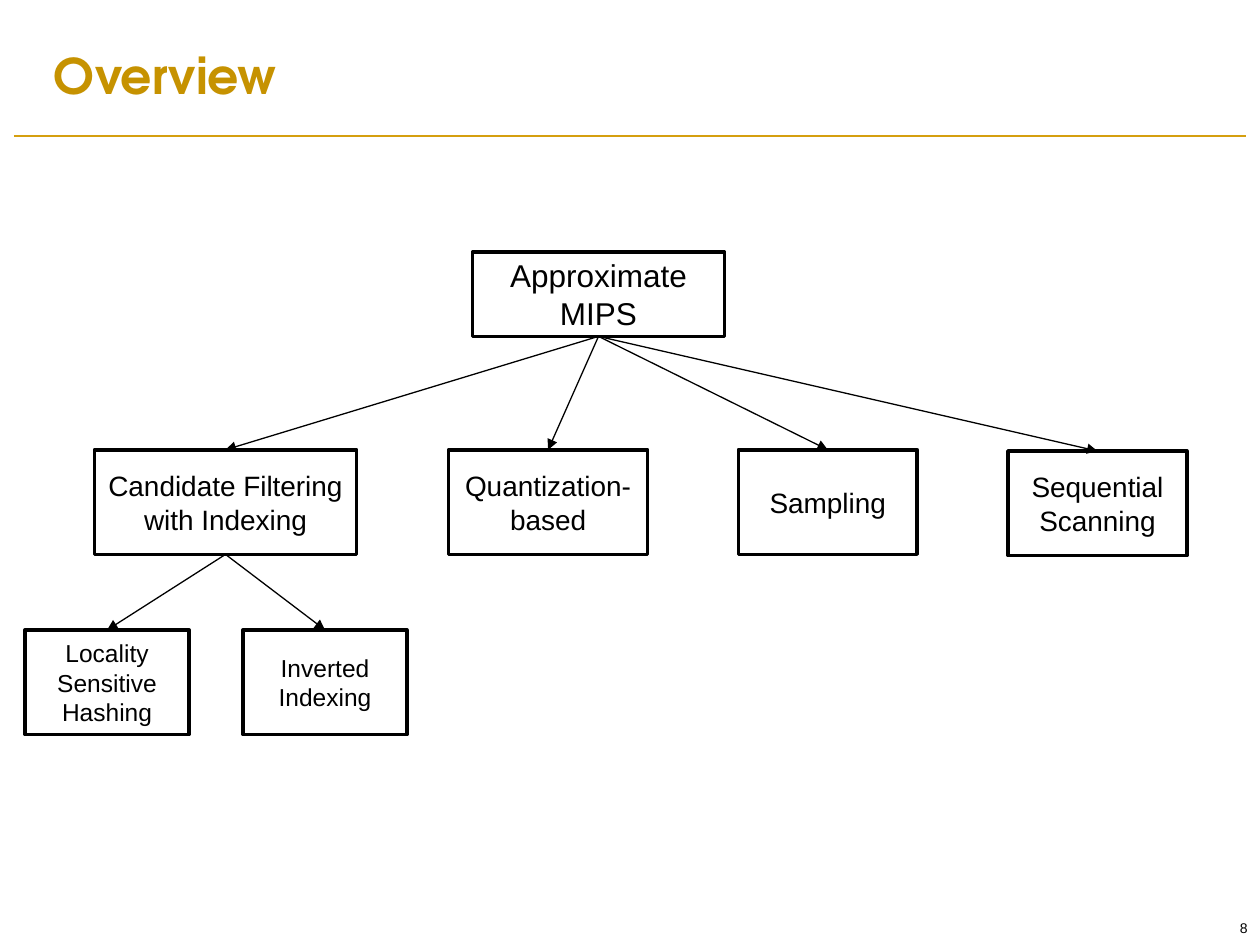
from dataclasses import dataclass

from pptx import Presentation
from pptx import util as u
from pptx.dml.color import RGBColor
from pptx.enum import shapes, text
from pptx.oxml import ns, xmlchemy

BLACK, WHITE, GOLD, RULE_GOLD = "000000", "FFFFFF", "C69200", "D59F0F"
BODY_FONT, TITLE_FONT = "Arial", "TeX Gyre Adventor"
TOP_SITE, BOTTOM_SITE = 0, 2


@dataclass(frozen=True)
class Node:
    label: str
    left: float
    top: float
    width: float
    height: float
    size: int
    children: tuple["Node", ...] = ()


def color(value: str) -> RGBColor:
    return RGBColor.from_string(value)


def write(shape, words: str, size: int, align, anchor,
          font: str = BODY_FONT, ink: str = BLACK, bold: bool = False) -> None:
    frame = shape.text_frame
    frame.word_wrap = True
    frame.vertical_anchor = anchor
    para = frame.paragraphs[0]
    para.text = words
    para.alignment = align
    para.font.name = font
    para.font.size = u.Pt(size)
    para.font.bold = bold
    para.font.color.rgb = color(ink)


def add_label(page, left: float, top: float, width: float, height: float):
    return page.shapes.add_textbox(
        u.Inches(left), u.Inches(top), u.Inches(width), u.Inches(height))


def add_line(page, start: tuple[float, float], end: tuple[float, float], ink: str):
    line = page.shapes.add_connector(
        shapes.MSO_CONNECTOR.STRAIGHT, *map(u.Inches, start + end))
    line.line.color.rgb = color(ink)
    line.line.width = u.Pt(0.75)
    line._element.spPr.append(xmlchemy.OxmlElement("a:effectLst"))
    return line


def add_arrow(page, parent, child) -> None:
    arrow = add_line(page, (0, 0), (0, 0), BLACK)
    arrow.begin_connect(parent, BOTTOM_SITE)
    arrow.end_connect(child, TOP_SITE)
    head = xmlchemy.OxmlElement("a:tailEnd")
    head.set("type", "triangle")
    arrow._element.spPr.find(ns.qn("a:ln")).append(head)


def add_tree(page, node: Node):
    box = page.shapes.add_shape(
        shapes.MSO_SHAPE.RECTANGLE, u.Inches(node.left), u.Inches(node.top),
        u.Inches(node.width), u.Inches(node.height))
    box.shadow.inherit = False
    box.fill.solid()
    box.fill.fore_color.rgb = color(WHITE)
    box.line.color.rgb = color(BLACK)
    box.line.width = u.Pt(2)
    write(box, node.label, node.size, text.PP_ALIGN.CENTER, text.MSO_ANCHOR.MIDDLE)
    for child in node.children:
        add_arrow(page, box, add_tree(page, child))
    return box


INDEXING = (
    Node("Locality Sensitive Hashing", 0.2, 5, 1.3, 0.83, 14),
    Node("Inverted Indexing", 1.93, 5, 1.3, 0.83, 14),
)
METHODS = (
    Node("Candidate Filtering with Indexing", 0.75, 3.57, 2.08, 0.83, 16, INDEXING),
    Node("Quantization-based", 3.56, 3.57, 1.58, 0.83, 16),
    Node("Sampling", 5.86, 3.57, 1.42, 0.83, 16),
    Node("Sequential Scanning", 8, 3.58, 1.42, 0.83, 16),
)
ROOT = Node("Approximate MIPS", 3.75, 2, 2, 0.67, 18, METHODS)


def main() -> None:
    deck = Presentation()
    deck.slide_width, deck.slide_height = u.Inches(10), u.Inches(7.5)
    page = deck.slides.add_slide(deck.slide_layouts[6])

    add_line(page, (0.11, 1.08), (9.89, 1.08), RULE_GOLD)
    title = add_label(page, 0.33, 0.31, 7.42, 0.57)
    write(title, "Overview", 28, text.PP_ALIGN.LEFT, text.MSO_ANCHOR.MIDDLE,
          TITLE_FONT, GOLD, True)
    number = add_label(page, 8.58, 7.25, 1.42, 0.25)
    write(number, "8", 8, text.PP_ALIGN.RIGHT, text.MSO_ANCHOR.TOP)
    add_tree(page, ROOT)

    deck.save("out.pptx")


if __name__ == "__main__":
    main()
